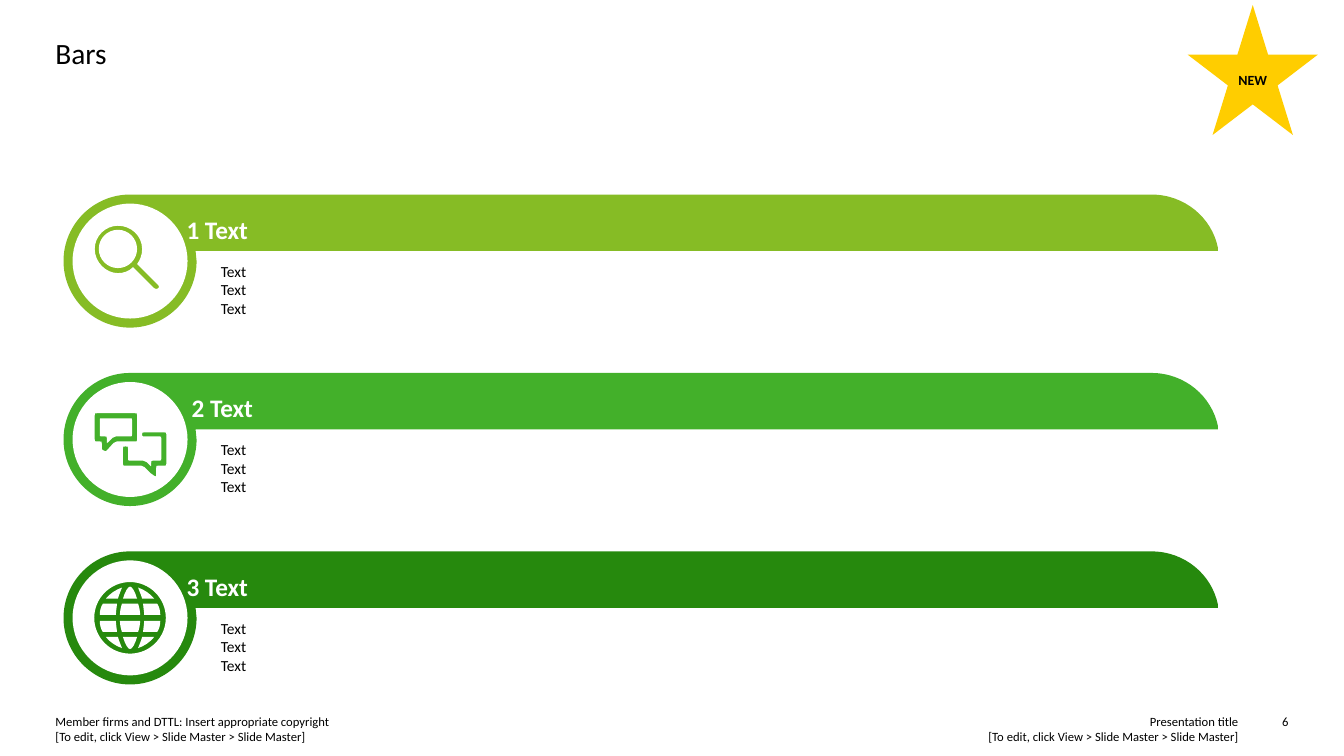
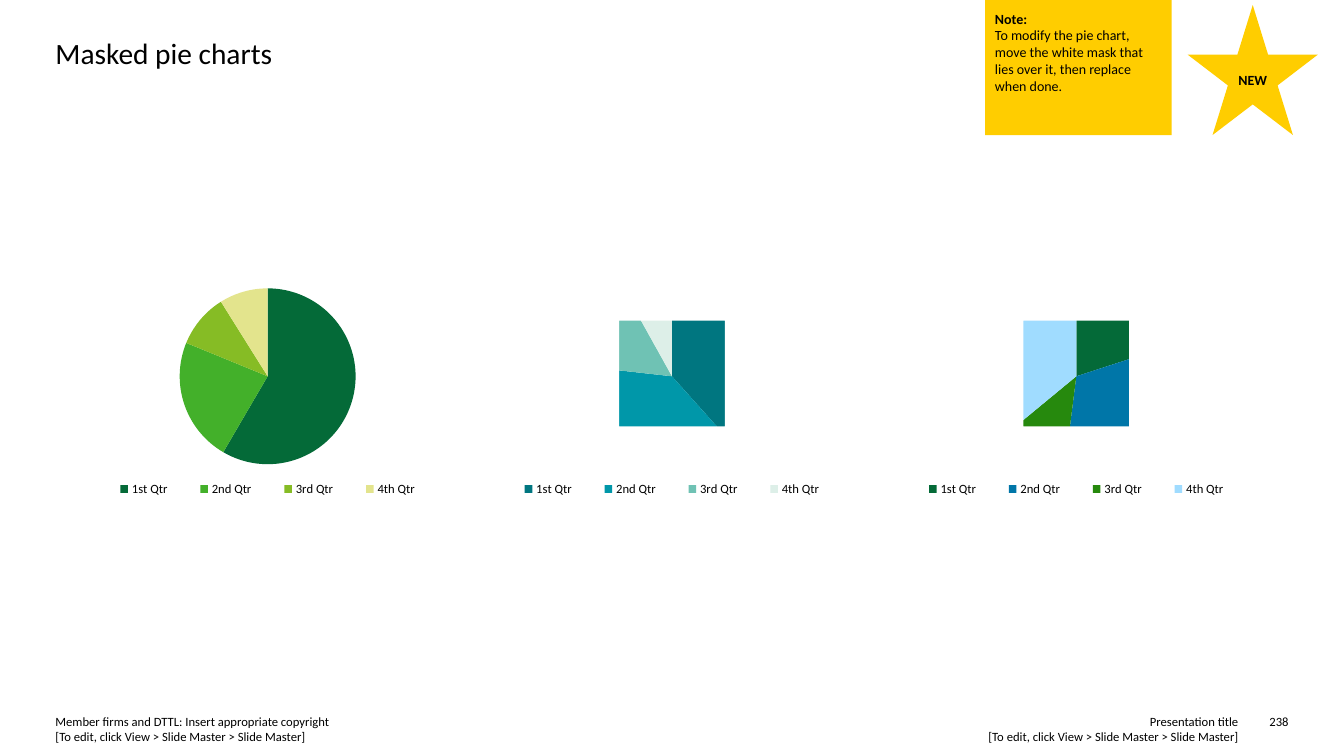
from math import hypot

from pptx import Presentation
from pptx.chart.data import CategoryChartData
from pptx.dml.color import RGBColor
from pptx.enum.chart import XL_CHART_TYPE, XL_LEGEND_POSITION
from pptx.enum.shapes import MSO_SHAPE
from pptx.enum.text import MSO_ANCHOR, PP_ALIGN
from pptx.oxml import parse_xml
from pptx.oxml.ns import nsdecls, qn
from pptx.util import Inches, Pt

FONT = "Calibri"
WIDTH, HEIGHT = 13.33, 7.5
MARGIN = 0.55
COLORS = {
    "black": "000000", "white": "FFFFFF", "yellow": "FFCD00",
    "lime": "86BC25", "green": "43B02A", "leaf": "26890D", "forest": "046A38",
    "straw": "E3E48D", "deep teal": "007680", "teal": "0097A9",
    "sea": "6FC2B4", "mist": "DDEFE8", "blue": "0076A8", "sky": "A0DCFF",
}

EDIT_HINT = "[To edit, click View > Slide Master > Slide Master]"
COPYRIGHT = "Member firms and DTTL: Insert appropriate copyright\n" + EDIT_HINT
DECK_TITLE = "Presentation title\n" + EDIT_HINT

BARS = [
    ("1 Text", ["Text"] * 3, "lime", "search", 1.22),
    ("2 Text", ["Text"] * 3, "green", "chat", 1.27),
    ("3 Text", ["Text"] * 3, "leaf", "globe", 1.22),
]
BAR_TOP, BAR_STEP = 1.93, 1.77
BAR_LEFT, BAR_RIGHT, BAND = 0.63, 12.08, 0.56
RADIUS, DISC_RADIUS, CORNER = 0.66, 0.57, 0.02

MAGNIFIER = [
    (0.28, 0.27), (0.27, 0.28, 0.25, 0.28, 0.24, 0.27), (0.03, 0.06),
    (-0.01, 0.1, -0.06, 0.12, -0.12, 0.12), (-0.24, 0.12, -0.35, 0.01, -0.35, -0.12),
    (-0.35, -0.25, -0.24, -0.35, -0.12, -0.35), (0.01, -0.35, 0.12, -0.25, 0.12, -0.12),
    (0.12, -0.06, 0.1, -0.01, 0.07, 0.03), (0.28, 0.24),
    (0.29, 0.25, 0.29, 0.26, 0.28, 0.27),
]
BUBBLE = [(-0.35, -0.26), (0.07, -0.26), (0.07, 0.02), (-0.15, 0.02),
          (-0.24, 0.12), (-0.28, 0.1), (-0.28, 0.02), (-0.35, 0.02)]
BUBBLE_INSIDE = [(-0.3, -0.21), (0.02, -0.21), (0.02, -0.03), (-0.16, -0.03),
                 (-0.23, 0.04), (-0.23, -0.03), (-0.3, -0.03)]
REPLY = [(0.12, -0.07), (0.36, -0.07), (0.36, 0.26), (0.26, 0.26), (0.26, 0.37),
         (0.22, 0.35), (0.13, 0.26), (-0.07, 0.26), (-0.07, 0.07), (-0.02, 0.07),
         (-0.02, 0.21), (0.15, 0.21), (0.21, 0.27), (0.21, 0.21), (0.31, 0.21),
         (0.31, -0.03), (0.12, -0.03)]
GLOBE_SIDES = [
    [(-0.12, -0.19), (-0.24, -0.19), (-0.2, -0.24, -0.14, -0.28, -0.08, -0.3),
     (-0.09, -0.27, -0.11, -0.23, -0.12, -0.19)],
    [(-0.13, -0.14), (-0.27, -0.14), (-0.29, -0.11, -0.3, -0.07, -0.3, -0.03),
     (-0.14, -0.03), (-0.14, -0.07, -0.13, -0.11, -0.13, -0.14)],
]
GLOBE_MIDDLE = [
    [(-0.07, -0.19), (-0.05, -0.26, -0.02, -0.31, 0, -0.31),
     (0.02, -0.31, 0.05, -0.26, 0.07, -0.19)],
    [(-0.08, -0.14), (0.08, -0.14), (0.09, -0.11, 0.1, -0.07, 0.1, -0.03),
     (-0.1, -0.03), (-0.1, -0.07, -0.09, -0.11, -0.08, -0.14)],
]

QUARTERS = ["1st Qtr", "2nd Qtr", "3rd Qtr", "4th Qtr"]
PIES = [
    ([59, 23, 10, 9], ["forest", "green", "lime", "straw"], False),
    ([38, 38, 15, 8], ["deep teal", "teal", "sea", "mist"], True),
    ([20, 32, 12, 36], ["forest", "blue", "leaf", "sky"], True),
]
PIE_LEFT, PIE_TOP, PIE_STEP = 0.91, 2.72, 4.01
PIE_WIDTH, PIE_HEIGHT = 3.49, 2.33
PIE_AREA = {"x": 0.25, "y": 0.06, "w": 0.5, "h": 0.75}
LEGEND_AREA = {"x": 0, "y": 0.83, "w": 1, "h": 0.17}
MASK_RADIUS, WINDOW = 1.06, 1.05

NOTE = ["Note:", "To modify the pie chart, move the white mask that lies over it, "
        "then replace when done."]


def color(name):
    return RGBColor.from_string(COLORS[name])


def paint(shape, fill):
    shape.shadow.inherit = False
    shape.fill.solid()
    shape.fill.fore_color.rgb = color(fill)
    shape.line.fill.background()
    return shape


def write(shape, lines, size, name="black", bold=False, align=PP_ALIGN.LEFT,
          anchor=MSO_ANCHOR.TOP, insets=(0, 0, 0, 0)):
    frame = shape.text_frame
    frame.word_wrap = True
    frame.vertical_anchor = anchor
    (frame.margin_left, frame.margin_top,
     frame.margin_right, frame.margin_bottom) = map(Inches, insets)
    for index, line in enumerate(lines):
        para = frame.add_paragraph() if index else frame.paragraphs[0]
        para.text = line
        para.alignment = align
        para.font.name, para.font.size, para.font.bold = FONT, Pt(size), bold
        para.font.color.rgb = color(name)
    return frame.paragraphs


def add_text(page, place, lines, size, **style):
    write(page.shapes.add_textbox(*map(Inches, place)), lines, size, **style)


def add_preset(page, kind, place, fill):
    return paint(page.shapes.add_shape(kind, *map(Inches, place)), fill)


def pairs(step):
    return list(zip(step[::2], step[1::2]))


def moved(contour, x=0, y=0, across=1, down=1):
    return [tuple(value for px, py in pairs(step)
                  for value in (x + across * px, y + down * py)) for step in contour]


def circle(x, y, radius):
    bend = 0.55
    unit = [(0, -1), (bend, -1, 1, -bend, 1, 0), (1, bend, bend, 1, 0, 1),
            (-bend, 1, -1, bend, -1, 0), (-1, -bend, -bend, -1, 0, -1)]
    return moved(unit, x, y, radius, radius)


def rounded(points):
    contour = []
    for index, (x, y) in enumerate(points):
        ends = []
        for nx, ny in (points[index - 1], points[(index + 1) % len(points)]):
            share = CORNER / hypot(nx - x, ny - y)
            ends.append((x + share * (nx - x), y + share * (ny - y)))
        contour += [ends[0], (x, y, x, y) + ends[1]]
    return contour


def add_outline(page, contours, fill):
    builder = None
    for contour in contours:
        corners = [tuple(map(Inches, step[-2:])) for step in contour]
        if builder is None:
            builder = page.shapes.build_freeform(*corners[0], scale=1.0)
        else:
            builder.move_to(*corners[0])
        builder.add_line_segments(corners[1:], close=False)
    shape = builder.convert_to_shape()
    segments = list(shape._element.spPr.iter(qn("a:lnTo")))
    steps = [step for contour in contours for step in contour[1:]]
    for segment, step in zip(segments, steps):
        if len(step) == 6:
            points = "".join(
                f'<a:pt x="{Inches(x) - shape.left}" y="{Inches(y) - shape.top}"/>'
                for x, y in pairs(step))
            curve = parse_xml(f'<a:cubicBezTo {nsdecls("a")}>{points}</a:cubicBezTo>')
            segment.getparent().replace(segment, curve)
    return paint(shape, fill)


def globe():
    cells = [moved(cell, across=across, down=down)
             for cell in GLOBE_SIDES for across in (1, -1) for down in (1, -1)]
    cells += [moved(cell, down=down) for cell in GLOBE_MIDDLE for down in (1, -1)]
    return [circle(0, 0, 0.355)] + cells


ICONS = {
    "search": [MAGNIFIER, circle(-0.12, -0.12, 0.19)],
    "chat": [rounded(points) for points in (BUBBLE, BUBBLE_INSIDE, REPLY)],
    "globe": globe(),
}


def add_bar(page, top, heading, lines, name, icon, indent):
    x, y = BAR_LEFT + RADIUS, top + RADIUS
    start = BAR_RIGHT - RADIUS
    outline = [(x, top), (start, top),
               (start + 0.33, top, start + 0.6, top + 0.23, BAR_RIGHT, top + 0.53),
               (BAR_RIGHT, top + BAND), (x + RADIUS - 0.01, top + BAND),
               (x + RADIUS, y)] + circle(x, y, RADIUS)[2:]
    bar = add_outline(page, [outline], name)
    write(bar, [heading], 18, "white", True, anchor=MSO_ANCHOR.MIDDLE,
          insets=(indent, 0, 0, 0.63))
    cuts = [moved(cut, x, y) for cut in ICONS[icon]]
    add_outline(page, [circle(x, y, DISC_RADIUS)] + cuts, "white")
    add_text(page, (2.19, top + BAND, 9.89, 0.77), lines, 11,
             anchor=MSO_ANCHOR.MIDDLE)


def place_part(part, position, area, target=""):
    for layout in part.findall(qn("c:layout")):
        part.remove(layout)
    shares = "".join(f'<c:{key} val="{share}"/>' for key, share in area.items())
    part.insert(position, parse_xml(
        f'<c:layout {nsdecls("c")}><c:manualLayout>{target}'
        f'<c:xMode val="edge"/><c:yMode val="edge"/>{shares}'
        '</c:manualLayout></c:layout>'))


def add_pie(page, left, values, names):
    data = CategoryChartData()
    data.categories = QUARTERS
    data.add_series("Series 1", values)
    place = map(Inches, (left, PIE_TOP, PIE_WIDTH, PIE_HEIGHT))
    chart = page.shapes.add_chart(XL_CHART_TYPE.PIE, *place, data).chart
    chart.has_title = False
    chart.has_legend = True
    chart.legend.position = XL_LEGEND_POSITION.BOTTOM
    chart.legend.include_in_layout = False
    for font in (chart.font, chart.legend.font):
        font.name, font.size = FONT, Pt(9)
        font.color.rgb = color("black")
    plot = chart.plots[0]
    plot.vary_by_categories = True
    for index, name in enumerate(names):
        form = plot.series[0].points[index].format
        form.fill.solid()
        form.fill.fore_color.rgb = color(name)
        form.line.fill.background()
    parts = chart._chartSpace.chart
    place_part(parts.plotArea, 0, PIE_AREA, '<c:layoutTarget val="inner"/>')
    place_part(parts.find(qn("c:legend")), 1, LEGEND_AREA)


def add_mask(page, x, y):
    left, top = x - WINDOW / 2, y - 0.55
    right, bottom = left + WINDOW, top + WINDOW
    window = [(left, top), (left, bottom), (right, bottom), (right, top), (left, top)]
    add_outline(page, [window, circle(x, y, MASK_RADIUS)], "white")


def add_page(deck, title, number):
    page = deck.slides.add_slide(deck.slide_layouts[6])
    add_text(page, (6.93, 7.08, 5.35, 0.3), [DECK_TITLE], 9, align=PP_ALIGN.RIGHT)
    add_text(page, (MARGIN, 7.08, 5.86, 0.3), [COPYRIGHT], 9)
    add_text(page, (12.44, 7.08, 0.34, 0.15), [str(number)], 9, align=PP_ALIGN.RIGHT)
    add_text(page, (MARGIN, 0.35, 12.24, 0.37), [title], 21)
    star = add_preset(page, MSO_SHAPE.STAR_5_POINT, (11.78, 0.05, 1.29, 1.29), "yellow")
    label = write(star, ["NEW"], 10, bold=True, align=PP_ALIGN.CENTER,
                  anchor=MSO_ANCHOR.MIDDLE, insets=(0.1,) * 4)
    label[0].line_spacing = 1.06
    return page


def main():
    deck = Presentation()
    deck.slide_width, deck.slide_height = Inches(WIDTH), Inches(HEIGHT)

    page = add_page(deck, "Bars", 6)
    for row, bar in enumerate(BARS):
        add_bar(page, BAR_TOP + row * BAR_STEP, *bar)

    page = add_page(deck, "Masked pie charts", 238)
    for column, (values, names, masked) in enumerate(PIES):
        left = PIE_LEFT + column * PIE_STEP
        add_pie(page, left, values, names)
        if masked:
            add_mask(page, left + PIE_WIDTH / 2, PIE_TOP + 1.01)
    note = add_preset(page, MSO_SHAPE.RECTANGLE, (9.77, 0, 1.85, 1.34), "yellow")
    write(note, NOTE, 10, insets=(0.1,) * 4)[0].font.bold = True

    deck.save("out.pptx")


if __name__ == "__main__":
    main()
